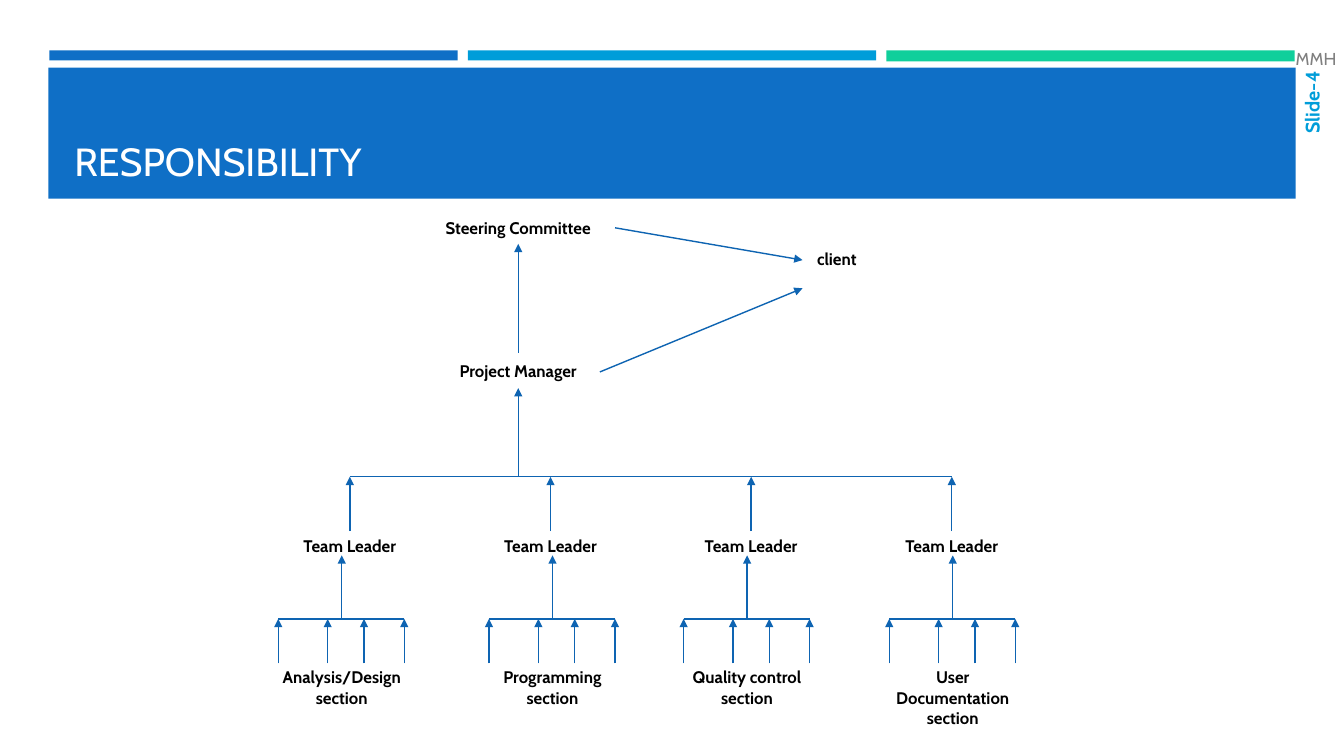
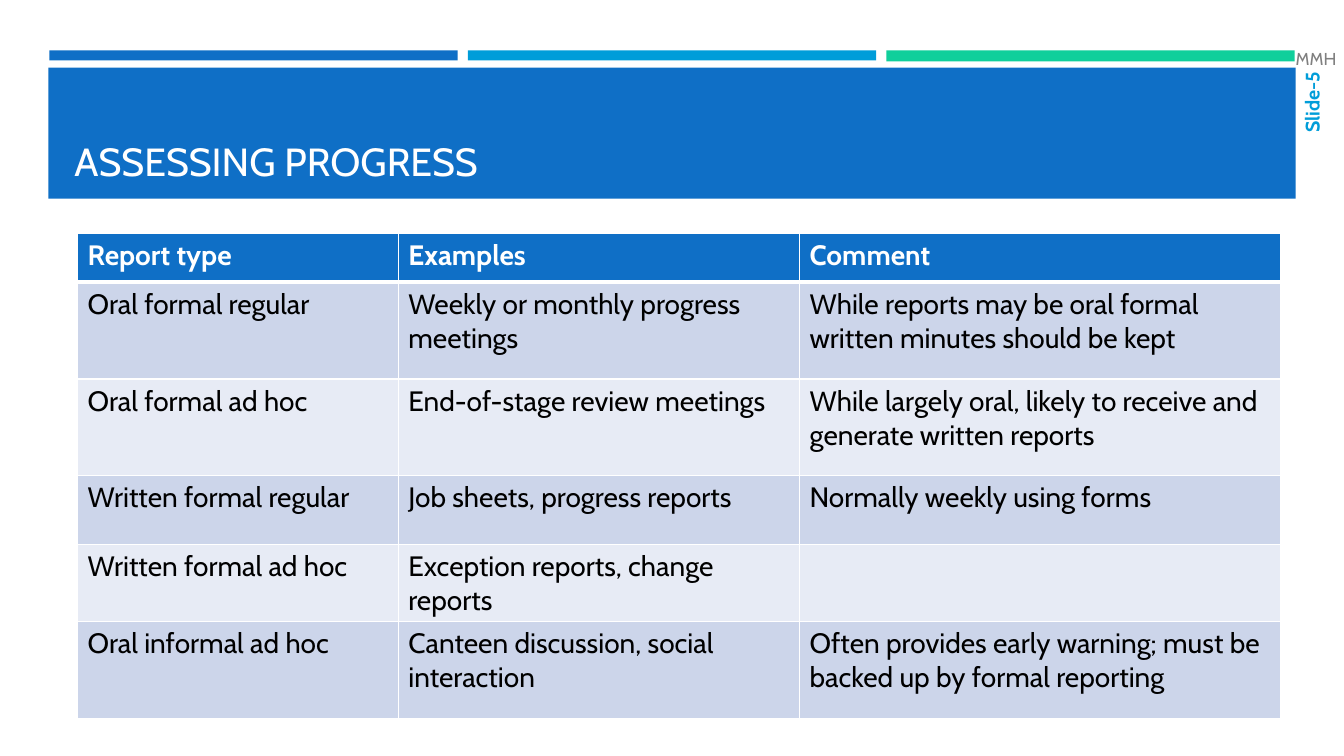
from dataclasses import dataclass
from typing import NamedTuple

from lxml.etree import SubElement
from pptx import Presentation
from pptx.dml.color import RGBColor
from pptx.enum.shapes import MSO_CONNECTOR, MSO_SHAPE
from pptx.enum.text import MSO_ANCHOR as Anchor, PP_ALIGN as Align
from pptx.oxml.ns import qn
from pptx.slide import Slide
from pptx.table import _Cell as Cell
from pptx.text.text import TextFrame
from pptx.util import Inches, Pt

FONT = "Cabin"
COLORS = {
    "blue": "0F6FC6",
    "cyan": "009DD9",
    "green": "10CF9B",
    "arrow": "0E64B2",
    "gray": "808080",
    "white": "FFFFFF",
    "black": "000000",
    "odd_row": "CCD5EA",
    "even_row": "E7EBF5",
}


class Box(NamedTuple):
    left: float
    top: float
    width: float
    height: float

    def lengths(self) -> list[Inches]:
        return [Inches(value) for value in self]


class Point(NamedTuple):
    x: float
    y: float


@dataclass(frozen=True)
class TextStyle:
    size: float
    color: str
    bold: bool = False
    align: Align = Align.LEFT
    anchor: Anchor = Anchor.TOP


@dataclass(frozen=True)
class Bar:
    box: Box
    color: str


@dataclass(frozen=True)
class Label:
    center: float
    top: float
    lines: tuple[str, ...]


TITLE = TextStyle(28, "white", anchor=Anchor.BOTTOM)
NUMBER = TextStyle(14, "cyan", True, Align.RIGHT, Anchor.MIDDLE)
INITIALS = TextStyle(12.3, "gray", anchor=Anchor.MIDDLE)
ROLE = TextStyle(12, "black", True, Align.CENTER)
HEADER = TextStyle(20, "white", True)
BODY = TextStyle(20, "black")

BARS = (
    Bar(Box(0.49, 0.5, 4.05, 0.1), "blue"),
    Bar(Box(4.64, 0.5, 4.05, 0.1), "cyan"),
    Bar(Box(8.79, 0.5, 4.05, 0.11), "green"),
    Bar(Box(0.48, 0.67, 12.37, 1.3), "blue"),
)

# Organisation chart
MANAGER_X = 5.14
LEADERS_X = [3.47 + 1.99 * index for index in range(4)]
LEADER_BUS_Y, LEADER_Y = 4.73, 5.27
SECTION_BUS_Y, SECTION_Y = 6.14, 6.57
MEMBER_OFFSETS = (-0.63, -0.14, 0.22, 0.62)
LABEL_WIDTH = 1.9
TOP_ROLES = (
    Label(MANAGER_X, 2.11, ("Steering Committee",)),
    Label(8.3, 2.42, ("client",)),
    Label(MANAGER_X, 3.53, ("Project Manager",)),
)
SECTIONS = (
    Label(3.39, SECTION_Y, ("Analysis/Design", "section")),
    Label(5.48, SECTION_Y, ("Programming", "section")),
    Label(7.41, SECTION_Y, ("Quality control", "section")),
    Label(9.45, SECTION_Y, ("User", "Documentation", "section")),
)

# Report table
TABLE_BOX = Box(0.77, 2.32, 11.93, 4.72)
COLUMN_WIDTHS = (3.18, 3.98, 4.77)
ROW_HEIGHTS = (0.48, 0.96, 0.96, 0.68, 0.68, 0.96)
REPORTS = (
    ("Report type", "Examples", "Comment"),
    ("Oral formal regular", "Weekly or monthly progress meetings",
     "While reports may be oral formal written minutes should be kept"),
    ("Oral formal ad hoc", "End-of-stage review meetings",
     "While largely oral, likely to receive and generate written reports"),
    ("Written formal regular", "Job sheets, progress reports",
     "Normally weekly using forms"),
    ("Written formal ad hoc", "Exception reports, change reports", ""),
    ("Oral informal ad hoc", "Canteen discussion, social interaction",
     "Often provides early warning; must be backed up by formal reporting"),
)


def rgb(name: str) -> RGBColor:
    return RGBColor.from_string(COLORS[name])


def write(frame: TextFrame, lines: tuple[str, ...], style: TextStyle) -> None:
    for index, line in enumerate(lines):
        paragraph = frame.add_paragraph() if index else frame.paragraphs[0]
        paragraph.alignment = style.align
        run = paragraph.add_run()
        run.text = line
        run.font.name = FONT
        run.font.size = Pt(style.size)
        run.font.bold = style.bold
        run.font.color.rgb = rgb(style.color)


def add_text(slide: Slide, box: Box, lines: tuple[str, ...],
             style: TextStyle) -> TextFrame:
    frame = slide.shapes.add_textbox(*box.lengths()).text_frame
    frame.word_wrap = True
    frame.vertical_anchor = style.anchor
    write(frame, lines, style)
    return frame


def add_label(slide: Slide, label: Label) -> None:
    height = 0.11 + 0.21 * len(label.lines)
    box = Box(label.center - LABEL_WIDTH / 2, label.top, LABEL_WIDTH, height)
    add_text(slide, box, label.lines, ROLE)


def add_line(slide: Slide, start: Point, end: Point, arrow: bool = True) -> None:
    connector = slide.shapes.add_connector(
        MSO_CONNECTOR.STRAIGHT, *(Inches(value) for value in start + end))
    connector.line.color.rgb = rgb("arrow")
    connector.line.width = Pt(1)
    properties = connector.element.spPr
    if arrow:
        SubElement(properties.find(qn("a:ln")), qn("a:tailEnd"), type="triangle")
    SubElement(properties, qn("a:effectLst"))


def add_frame(slide: Slide, title: str, number: int) -> None:
    # Bars and title band
    for bar in BARS:
        shape = slide.shapes.add_shape(MSO_SHAPE.RECTANGLE, *bar.box.lengths())
        shape.shadow.inherit = False
        shape.fill.solid()
        shape.fill.fore_color.rgb = rgb(bar.color)
        shape.line.fill.background()
    add_text(slide, Box(0.64, 0.77, 12.06, 1.11), (title,), TITLE)

    # Slide number, reading upwards
    frame = add_text(slide, Box(12.87, 0.71, 0.28, 0.8), (f"Slide-{number}",), NUMBER)
    frame.margin_left = frame.margin_right = 0
    frame.margin_top = frame.margin_bottom = 0
    slide.shapes[-1].element.find(".//" + qn("a:bodyPr")).set("vert", "vert270")

    # Initials
    frame = add_text(slide, Box(12.67, 0.43, 0.7, 0.3), ("MMH",), INITIALS)
    frame.margin_left, frame.margin_right = Inches(0.18), 0


def add_section(slide: Slide, section: Label) -> None:
    members = [section.center + offset for offset in MEMBER_OFFSETS]
    add_line(slide, Point(members[0], SECTION_BUS_Y),
             Point(members[-1], SECTION_BUS_Y), arrow=False)
    add_line(slide, Point(section.center, SECTION_BUS_Y), Point(section.center, 5.51))
    for x in members:
        add_line(slide, Point(x, 6.58), Point(x, SECTION_BUS_Y))
    add_label(slide, section)


def add_organisation(slide: Slide) -> None:
    # Committee, client and manager
    for role in TOP_ROLES:
        add_label(slide, role)
    add_line(slide, Point(MANAGER_X, 3.5), Point(MANAGER_X, 2.42))
    add_line(slide, Point(6.1, 2.26), Point(7.96, 2.58))
    add_line(slide, Point(5.95, 3.69), Point(7.96, 2.86))
    add_line(slide, Point(MANAGER_X, LEADER_BUS_Y), Point(MANAGER_X, 3.85))

    # Team leaders
    add_line(slide, Point(LEADERS_X[0], LEADER_BUS_Y),
             Point(LEADERS_X[-1], LEADER_BUS_Y), arrow=False)
    for x in LEADERS_X:
        add_label(slide, Label(x, LEADER_Y, ("Team Leader",)))
        add_line(slide, Point(x, LEADER_Y), Point(x, LEADER_BUS_Y))

    # Sections
    for section in SECTIONS:
        add_section(slide, section)


def style_cell(cell: Cell, fill: str, top: float, bottom: float) -> None:
    properties = cell._tc.get_or_add_tcPr()
    for side, points in (("L", 1), ("R", 1), ("T", top), ("B", bottom)):
        line = SubElement(properties, qn(f"a:ln{side}"), w=str(Pt(points)))
        color = SubElement(line, qn("a:solidFill"))
        SubElement(color, qn("a:srgbClr"), val=COLORS["white"])
    cell.fill.solid()
    cell.fill.fore_color.rgb = rgb(fill)


def add_reports(slide: Slide) -> None:
    table = slide.shapes.add_table(
        len(ROW_HEIGHTS), len(COLUMN_WIDTHS), *TABLE_BOX.lengths()).table
    for column, width in zip(table.columns, COLUMN_WIDTHS):
        column.width = Inches(width)
    for row_index, (row, height) in enumerate(zip(table.rows, ROW_HEIGHTS)):
        row.height = Inches(height)
        header = row_index == 0
        fill = "blue" if header else "odd_row" if row_index % 2 else "even_row"
        for cell, text in zip(row.cells, REPORTS[row_index]):
            style_cell(cell, fill, 3 if row_index == 1 else 1, 3 if header else 1)
            if text:
                write(cell.text_frame, (text,), HEADER if header else BODY)


def main() -> None:
    presentation = Presentation()
    presentation.slide_width = Inches(13.33)
    presentation.slide_height = Inches(7.5)
    contents = (("RESPONSIBILITY", add_organisation),
                ("ASSESSING PROGRESS", add_reports))
    for number, (title, add_content) in enumerate(contents, start=4):
        slide = presentation.slides.add_slide(presentation.slide_layouts[6])
        add_frame(slide, title, number)
        add_content(slide)
    presentation.save("out.pptx")


if __name__ == "__main__":
    main()
